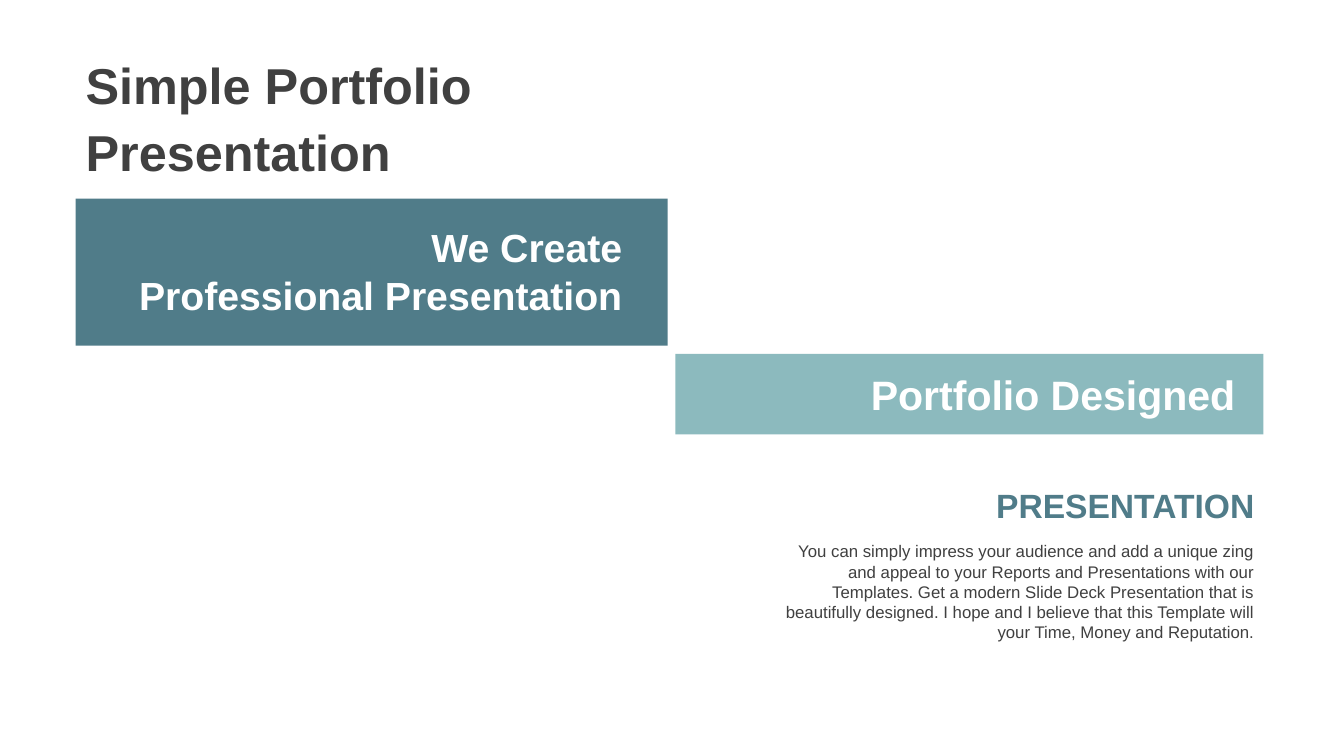
from dataclasses import dataclass
from typing import NamedTuple

from pptx import Presentation
from pptx.dml.color import RGBColor
from pptx.enum.shapes import MSO_SHAPE
from pptx.enum.text import MSO_ANCHOR, MSO_AUTO_SIZE, PP_ALIGN
from pptx.slide import Slide
from pptx.util import Inches, Pt

SLIDE_WIDTH = Inches(13.33)
SLIDE_HEIGHT = Inches(7.5)


@dataclass(frozen=True)
class Theme:
    font: str = "Arial"
    dark_teal: str = "507C89"
    light_teal: str = "8CBABE"
    white: str = "FFFFFF"
    charcoal: str = "404040"
    title_size: float = 36
    banner_size: float = 28
    designed_size: float = 29.3
    heading_size: float = 24
    body_size: float = 12


class Area(NamedTuple):
    """A rectangle in percent of the slide's width and height."""
    left: float
    top: float
    width: float
    height: float

    def lengths(self) -> tuple[int, int, int, int]:
        return (
            round(SLIDE_WIDTH * self.left / 100),
            round(SLIDE_HEIGHT * self.top / 100),
            round(SLIDE_WIDTH * self.width / 100),
            round(SLIDE_HEIGHT * self.height / 100),
        )


class Banner(NamedTuple):
    area: Area
    color: str


THEME = Theme()
BANNERS = (
    Banner(Area(50.26, 46.8, 43.74, 10.67), THEME.light_teal),
    Banner(Area(5.63, 26.27, 44.04, 19.47), THEME.dark_teal),
)
BODY = (
    "You can simply impress your audience and add a unique zing and appeal to your "
    "Reports and Presentations with our Templates. Get a modern Slide Deck "
    "Presentation that is beautifully designed. I hope and I believe that this "
    "Template will your Time, Money and Reputation."
)


def add_banner(slide: Slide, banner: Banner) -> None:
    shape = slide.shapes.add_shape(MSO_SHAPE.RECTANGLE, *banner.area.lengths())
    shape.shadow.inherit = False
    shape.fill.solid()
    shape.fill.fore_color.rgb = RGBColor.from_string(banner.color)
    shape.line.fill.background()


def add_text(
    slide: Slide,
    area: Area,
    text: str,
    *,
    size: float,
    color: str,
    bold: bool = True,
    alignment: PP_ALIGN = PP_ALIGN.RIGHT,
    anchor: MSO_ANCHOR = MSO_ANCHOR.TOP,
    auto_size: MSO_AUTO_SIZE = MSO_AUTO_SIZE.SHAPE_TO_FIT_TEXT,
    wrap: bool = True,
    line_spacing: float = 1.0,
    insets: tuple[float, float, float, float] = (0.1, 0.05, 0.1, 0.05),
) -> None:
    """Add a text box with one paragraph per line; insets run left, top, right, bottom."""
    frame = slide.shapes.add_textbox(*area.lengths()).text_frame
    frame.word_wrap = wrap
    frame.auto_size = auto_size
    frame.vertical_anchor = anchor
    (frame.margin_left, frame.margin_top,
     frame.margin_right, frame.margin_bottom) = map(Inches, insets)
    frame.text = text
    for paragraph in frame.paragraphs:
        paragraph.alignment = alignment
        paragraph.line_spacing = line_spacing
        for run in paragraph.runs:
            run.font.name = THEME.font
            run.font.size = Pt(size)
            run.font.bold = bold
            run.font.color.rgb = RGBColor.from_string(color)


def main() -> None:
    presentation = Presentation()
    presentation.slide_width = SLIDE_WIDTH
    presentation.slide_height = SLIDE_HEIGHT
    slide = presentation.slides.add_slide(presentation.slide_layouts[6])

    for banner in BANNERS:
        add_banner(slide, banner)
    add_text(slide, Area(52.89, 48.13, 39.76, 7.87), "Portfolio Designed",
             size=THEME.designed_size, color=THEME.white, anchor=MSO_ANCHOR.MIDDLE)
    add_text(slide, Area(7.58, 29.6, 39.01, 12.53), "We Create\nProfessional Presentation",
             size=THEME.banner_size, color=THEME.white, insets=(0.08, 0, 0.04, 0))
    add_text(slide, Area(5.63, 6.4, 36.46, 17.6), "Simple Portfolio Presentation",
             size=THEME.title_size, color=THEME.charcoal, alignment=PP_ALIGN.LEFT,
             anchor=MSO_ANCHOR.MIDDLE, auto_size=MSO_AUTO_SIZE.NONE, line_spacing=1.1)
    add_text(slide, Area(73.14, 63.47, 20.93, 6.67), "PRESENTATION",
             size=THEME.heading_size, color=THEME.dark_teal, wrap=False)
    add_text(slide, Area(56.71, 70.93, 37.36, 14.8), BODY,
             size=THEME.body_size, color=THEME.charcoal, bold=False)

    presentation.save("out.pptx")


if __name__ == "__main__":
    main()
